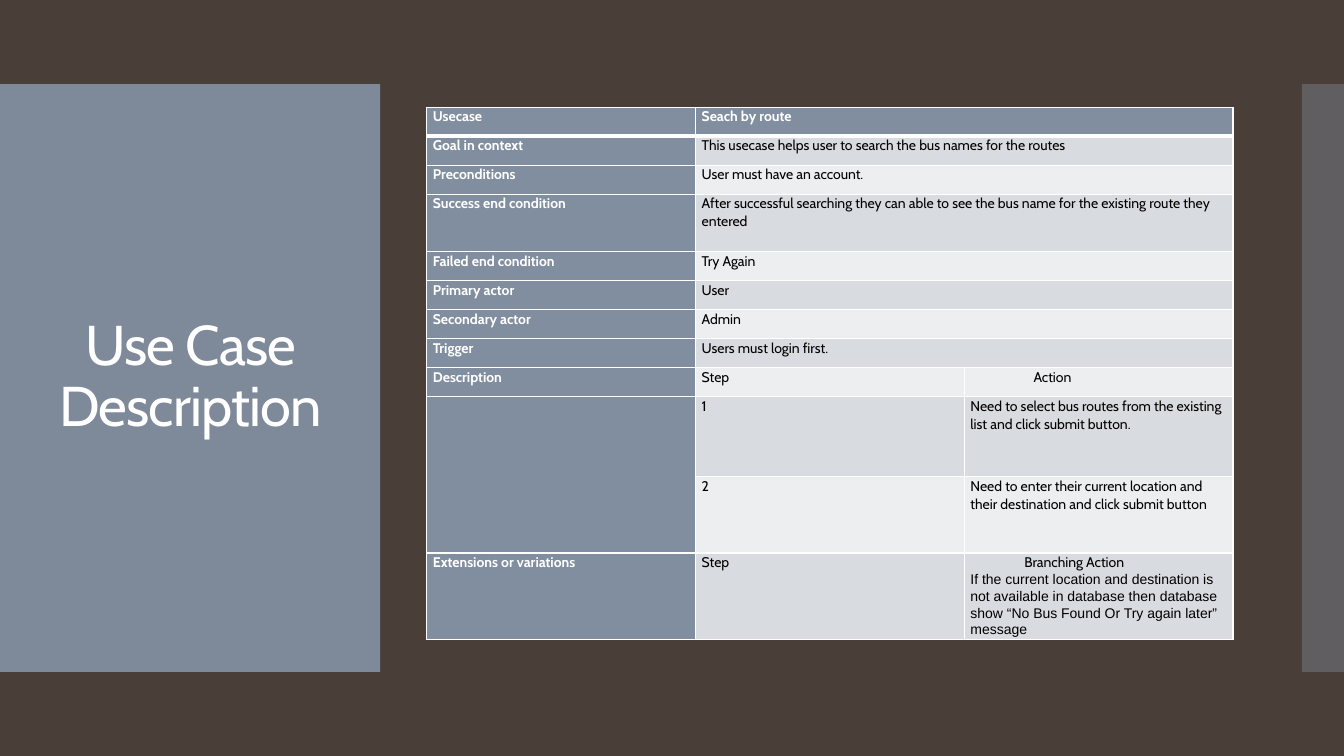
from lxml.etree import SubElement
from pptx import Presentation
from pptx.dml.color import RGBColor
from pptx.enum.shapes import MSO_SHAPE
from pptx.enum.text import MSO_ANCHOR, MSO_AUTO_SIZE, PP_ALIGN
from pptx.oxml.ns import qn
from pptx.util import Pt

SLATE, WHITE, BLACK, BROWN = "818E9F", "FFFFFF", "000000", "4A3F38"
BANDS = ("D8DBDF", "EDEEF0")
ROW = 20.75
HEADER = ("Usecase", "Seach by route")
SUMMARY = [
    ("Goal in context", "This usecase helps user to search the bus names for the routes", ROW),
    ("Preconditions", "User must have an account.", ROW),
    ("Success end condition", "After successful searching they can able to see the bus name "
     "for the existing route they entered", 41),
    ("Failed end condition", "Try Again", ROW),
    ("Primary actor", "User", ROW),
    ("Secondary actor", "Admin", ROW),
    ("Trigger", "Users must login first.", ROW),
]
STEPS = [
    ("Description", "Step", "Action", ROW),
    ("", "1", "Need to select bus routes from the existing list and click submit button.", 57),
    ("", "2", "Need to enter their current location and their destination "
     "and click submit button", 54.5),
    ("Extensions or variations", "Step", "Branching Action", 62),
]
NO_BUS = ("If the current location and destination is not available in database "
          "then database show “No Bus Found Or Try again later” message")


def paint(target, color):
    """Give a fill a solid colour from a hex string."""
    target.solid()
    target.fore_color.rgb = RGBColor.from_string(color)


def write(paragraph, text, size=10, color=BLACK, bold=False, font="Cabin",
          align=PP_ALIGN.LEFT, line=1.07, indent=0, tracking=0):
    """Put one formatted run in a paragraph."""
    paragraph.alignment = align
    paragraph.line_spacing = line
    if indent:
        properties = paragraph._p.get_or_add_pPr()
        properties.set("marL", str(Pt(indent)))
        properties.set("indent", "0")
    run = paragraph.add_run()
    run.text = text
    run.font.size, run.font.bold, run.font.name = Pt(size), bold, font
    paint(run.font.fill, color)
    if tracking:
        run.font._element.set("spc", str(round(tracking * 100)))


def add_panel(slide, box, opacity):
    """Draw a translucent slate panel."""
    panel = slide.shapes.add_shape(MSO_SHAPE.RECTANGLE, *map(Pt, box))
    panel.shadow.inherit = False
    panel.line.fill.background()
    paint(panel.fill, SLATE)
    color = panel.element.spPr.find(qn("a:solidFill"))[0]
    SubElement(color, qn("a:alpha"), val=str(opacity * 1000))


def add_title(slide, box, text):
    """Draw the title panel and centre the title inside it."""
    add_panel(slide, box, 95)
    left, top, width, height = box
    title = slide.shapes.title
    title.left, title.top = Pt(left + 20), Pt(top + 28.75)
    title.width, title.height = Pt(width - 39.5), Pt(height - 57.5)
    frame = title.text_frame
    frame.word_wrap, frame.auto_size = True, MSO_AUTO_SIZE.NONE
    frame.vertical_anchor = MSO_ANCHOR.MIDDLE
    write(frame.paragraphs[0], text, size=40, color=WHITE, align=PP_ALIGN.CENTER,
          line=0.9, tracking=-0.6)
    slide.shapes.element.append(title.element)


def style_cell(cell, color, top=1, bottom=1):
    """Set a cell's margins, white borders and fill."""
    cell.margin_left = cell.margin_right = Pt(4.5)
    cell.margin_top = cell.margin_bottom = 0
    properties = cell._tc.get_or_add_tcPr()
    for side, weight in (("L", 1), ("R", 1), ("T", top), ("B", bottom)):
        border = SubElement(properties, qn(f"a:ln{side}"), w=str(Pt(weight)))
        fill = SubElement(border, qn("a:solidFill"))
        SubElement(fill, qn("a:srgbClr"), val=WHITE)
    paint(cell.fill, color)


def add_use_case_table(slide, left, top, width):
    """Build the use case table with its header, summary and steps."""
    entries = [(*HEADER, ROW), *SUMMARY, *STEPS]
    heights = [entry[-1] for entry in entries]
    table = slide.shapes.add_table(len(entries), 3, Pt(left), Pt(top),
                                   Pt(width), Pt(sum(heights))).table
    for column in table.columns:
        column.width = Pt(width / 3)
    first_step = len(entries) - len(STEPS)
    for index, (label, *details, height) in enumerate(entries):
        table.rows[index].height = Pt(height)
        cells = [table.cell(index, column) for column in range(3)]
        band = BANDS[(index - 1) % 2] if index else SLATE
        for cell, color in zip(cells, (SLATE, band, band)):
            style_cell(cell, color, 3 if index == 1 else 1, 1 if index else 3)
        if index < first_step:
            cells[1].merge(cells[2])
        if label:
            write(cells[0].text_frame.paragraphs[0], label, color=WHITE, bold=True)
        for cell, detail in zip(cells[1:], details):
            write(cell.text_frame.paragraphs[0], detail,
                  color=BLACK if index else WHITE, bold=not index,
                  indent={"Action": 45, "Branching Action": 38.5}.get(detail, 0))
    table.cell(first_step + 1, 0).merge(table.cell(first_step + 2, 0))
    branching = table.cell(len(entries) - 1, 2).text_frame
    write(branching.add_paragraph(), NO_BUS, font="Arial")


def build_use_case_slide(presentation):
    """Lay out the use case description slide."""
    slide = presentation.slides.add_slide(presentation.slide_layouts[5])
    paint(slide.background.fill, BROWN)
    add_panel(slide, (930, 60, 30, 420), 40)
    add_title(slide, (0, 60, 271.5, 420), "Use Case Description")
    add_use_case_table(slide, 304.75, 76.5, 576)


presentation = Presentation()
presentation.slide_width, presentation.slide_height = Pt(960), Pt(540)
build_use_case_slide(presentation)
presentation.save("out.pptx")
